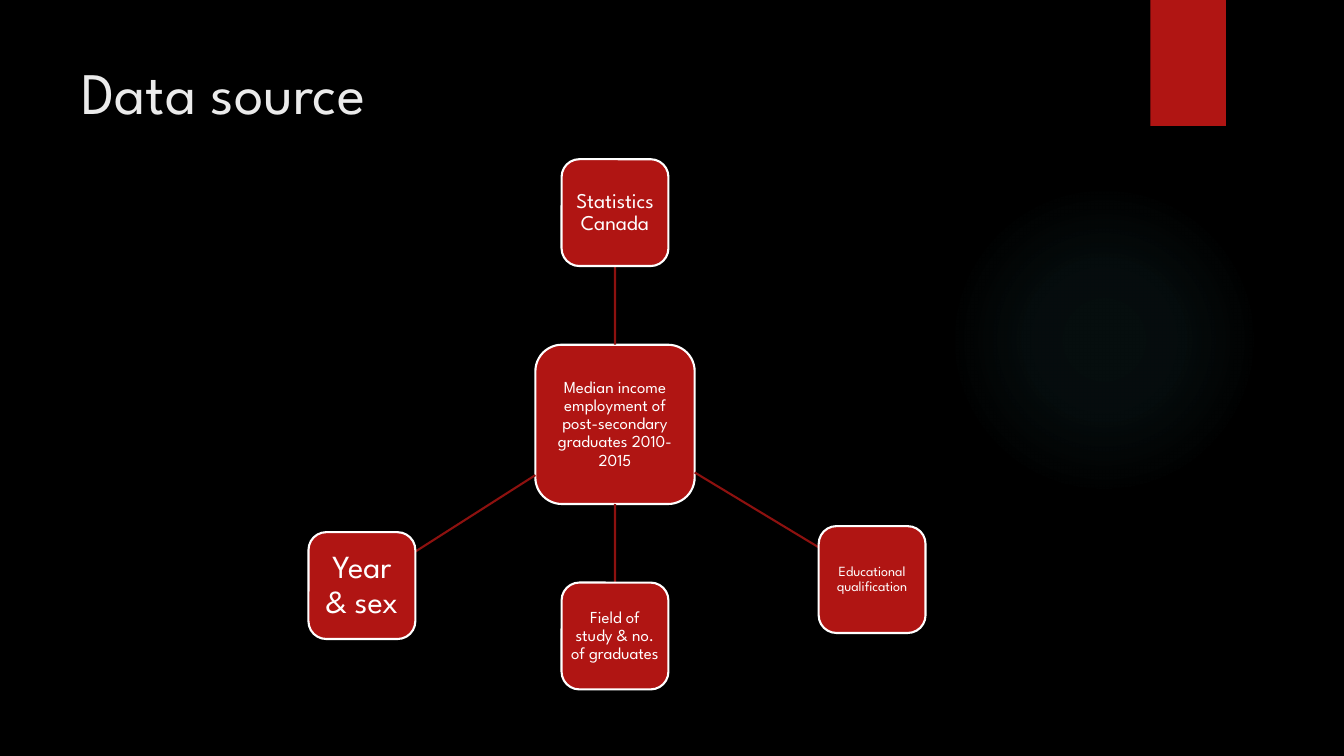
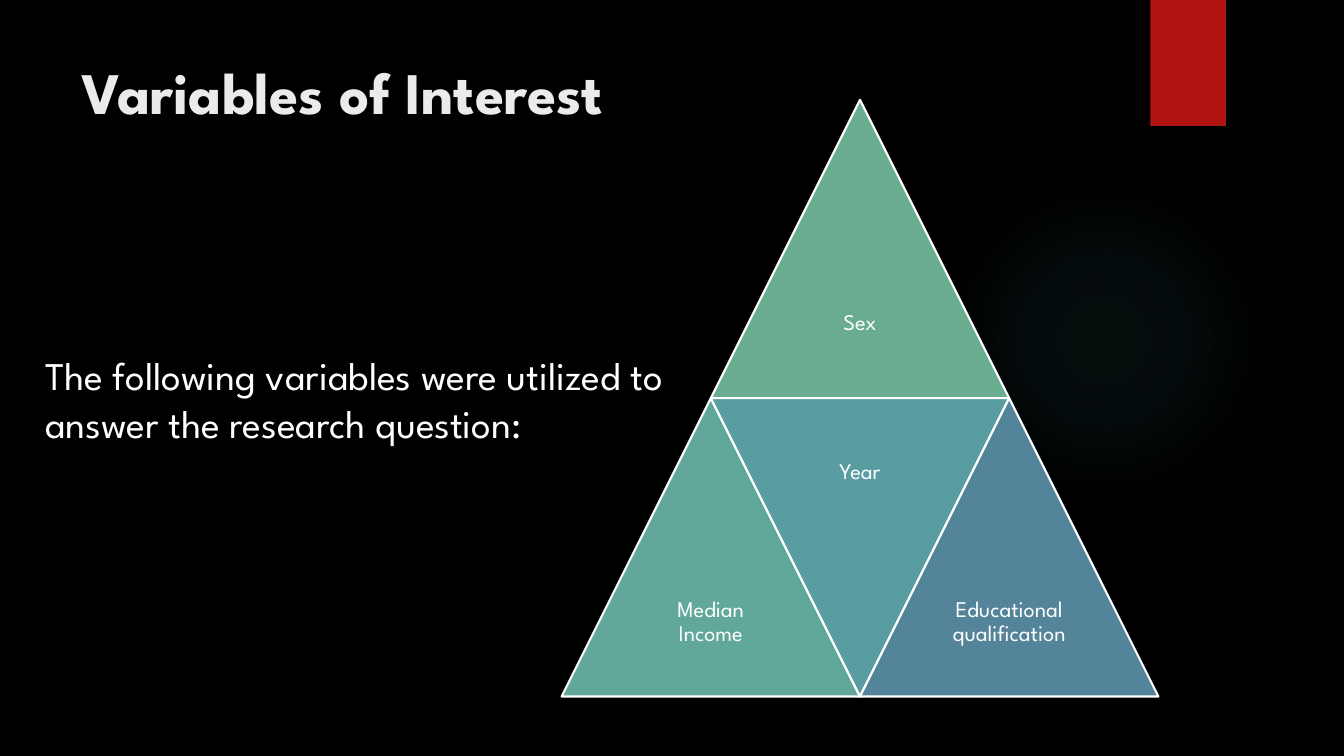
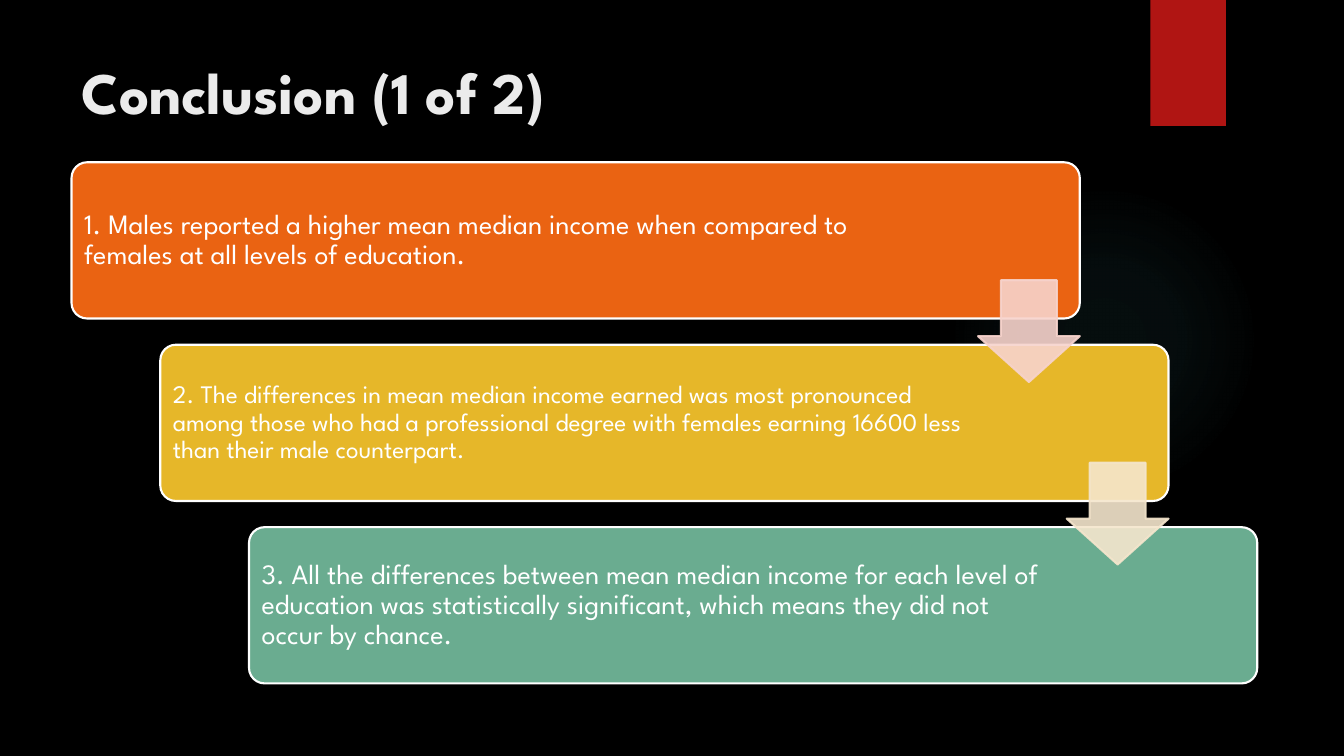
from lxml import etree
from pptx import Presentation
from pptx.dml.color import RGBColor
from pptx.enum import shapes, text
from pptx.oxml import parse_xml
from pptx.oxml.ns import nsdecls, qn
from pptx.util import Inches, Pt

FONT = "League Spartan"
BLACK, WHITE, TITLE = "000000", "FFFFFF", "EBEBEB"
RED, DARK_RED, GLOW = "B01513", "8D110F", "50B9C1"
MSO = shapes.MSO_SHAPE

# Slide 1: text, centre x, centre y, side, font size, inset
HUB = ("Median income employment of post-secondary graduates 2010-2015",
       6.1, 4.21, 1.58, 12, 0.03)
# each spoke also has its (hub, node) connection sites, where it meets side middles
SPOKES = [
    (("Statistics Canada", 6.1, 2.11, 1.06, 15, 0.04), (0, 2)),
    (("Educational qualification", 8.65, 5.75, 1.06, 10, 0.03), None),
    (("Field of study & no. of graduates", 6.1, 6.31, 1.06, 12, 0.03), (2, 0)),
    (("Year & sex", 3.59, 5.81, 1.06, 23, 0.06), None),
]

# Slide 2: text, column in half triangles, row, shape, colour
INTRO = "The following variables were utilized to answer the research question:"
TRIANGLES = [
    ("Sex", 1, 0, MSO.ISOSCELES_TRIANGLE, "6AAC90"),
    ("Median Income", 0, 1, MSO.ISOSCELES_TRIANGLE, "61A89B"),
    ("Year", 1, 1, MSO.FLOWCHART_MERGE, "599DA2"),
    ("Educational qualification", 2, 1, MSO.ISOSCELES_TRIANGLE, "54849A"),
]
TRI_LEFT, TRI_TOP, TRI_SIDE = 5.57, 0.99, 2.96

# Slide 3: text, font size, bar colour, colour of the arrow to the next bar
FINDINGS = [
    ("1. Males reported a higher mean median income when compared to females "
     "at all levels of education.", 20, "EA6312", "F7D3CC"),
    ("2. The differences in mean median income earned was most pronounced among "
     "those who had a professional degree with females earning 16600 less than "
     "their male counterpart.", 18, "E6B729", "F5E6CD"),
    ("3. All the differences between mean median income for each level of "
     "education was statistically significant, which means they did not occur "
     "by chance.", 20, "6AAC90", None),
]
BAR_LEFT, BAR_TOP, BAR_W, BAR_H = 0.71, 1.61, 10, 1.55
STEP_X, STEP_Y = 0.88, 1.81
ARROW, ARROW_DROP = 1.01, 1.17


def rgb(color):
    return RGBColor.from_string(color)


def set_alpha(fill, percent):
    """Make a solid fill, of a shape or of its line, partly transparent."""
    clr = fill._xPr.find(qn("a:solidFill"))[0]
    etree.SubElement(clr, qn("a:alpha"), val=str(percent * 1000))


def add_shape(s, kind, x, y, w, h, fill, line=None):
    sp = s.shapes.add_shape(kind, *map(Inches, (x, y, w, h)))
    sp.shadow.inherit = False
    sp.fill.solid()
    sp.fill.fore_color.rgb = rgb(fill)
    if line:
        sp.line.color.rgb = rgb(line)
        sp.line.width = Pt(1.5)
    else:
        sp.line.fill.background()
    return sp


def write(sp, words, size, color=WHITE, bold=False, align=text.PP_ALIGN.LEFT,
          anchor=text.MSO_ANCHOR.TOP, insets=(0.1, 0.05, 0.1, 0.05), spacing=1.0):
    tf = sp.text_frame
    tf.word_wrap = True
    tf.vertical_anchor = anchor
    tf.margin_left, tf.margin_top, tf.margin_right, tf.margin_bottom = map(Inches, insets)
    tf.text = words
    p = tf.paragraphs[0]
    p.alignment = align
    p.line_spacing = spacing
    font = p.runs[0].font
    font.name, font.size, font.bold = FONT, Pt(size), bold
    font.color.rgb = rgb(color)


def label(sp, words, size, insets, align=text.PP_ALIGN.CENTER):
    write(sp, words, size, align=align, anchor=text.MSO_ANCHOR.MIDDLE,
          insets=insets, spacing=0.9)


def add_text(s, x, y, w, h, words, size, **style):
    write(s.shapes.add_textbox(*map(Inches, (x, y, w, h))), words, size, **style)


def new_slide(prs, title, bold=True):
    """Add a slide with the shared glow, red tab and title."""
    s = prs.slides.add_slide(prs.slide_layouts[6])
    glow = add_shape(s, MSO.OVAL, 9.41, 1.83, 3.08, 3.08, GLOW)
    stops = "".join(
        f'<a:gs pos="{pos}000"><a:srgbClr val="{GLOW}"><a:alpha val="{alpha}000"/>'
        f'</a:srgbClr></a:gs>' for pos, alpha in ((0, 7), (36, 6), (69, 0), (100, 0)))
    gradient = parse_xml(
        f'<a:gradFill {nsdecls("a")} rotWithShape="1"><a:gsLst>{stops}</a:gsLst>'
        '<a:path path="circle"><a:fillToRect l="50000" t="50000" r="50000" b="50000"/>'
        '</a:path></a:gradFill>')
    pr = glow._element.spPr
    pr.replace(pr.find(qn("a:solidFill")), gradient)
    add_shape(s, MSO.RECTANGLE, 11.41, 0, 0.75, 1.25, RED)
    add_text(s, 0.71, 0.5, 10.29, 0.98, title, 42, color=TITLE, bold=bold)
    return s


def add_node(s, node):
    words, cx, cy, side, size, inset = node
    sp = add_shape(s, MSO.ROUNDED_RECTANGLE, cx - side / 2, cy - side / 2,
                   side, side, RED, WHITE)
    label(sp, words, size, (inset,) * 4)
    return sp


def edge_point(node, other):
    """Where the line between two node centres leaves the first node's square."""
    _, x, y, side, *_ = node
    dx, dy = other[1] - x, other[2] - y
    share = side / 2 / max(abs(dx), abs(dy))
    return Inches(x + dx * share), Inches(y + dy * share)


def data_source(prs):
    s = new_slide(prs, "Data source", bold=False)
    hub = add_node(s, HUB)
    for node, sites in SPOKES:
        line = s.shapes.add_connector(shapes.MSO_CONNECTOR.STRAIGHT,
                                      *edge_point(HUB, node), *edge_point(node, HUB))
        line.line.color.rgb = rgb(DARK_RED)
        line.line.width = Pt(1.5)
        etree.SubElement(line._element.spPr, qn("a:effectLst"))
        sp = add_node(s, node)
        if sites:
            line.begin_connect(hub, sites[0])
            line.end_connect(sp, sites[1])


def variables(prs):
    s = new_slide(prs, "Variables of Interest")
    add_text(s, 0.35, 3.44, 6.67, 1.51, INTRO, 28)
    for words, col, row, kind, color in TRIANGLES:
        sp = add_shape(s, kind, TRI_LEFT + col * TRI_SIDE / 2, TRI_TOP + row * TRI_SIDE,
                       TRI_SIDE, TRI_SIDE, color, WHITE)
        label(sp, words, 16, (0.07,) * 4)


def conclusion(prs):
    s = new_slide(prs, "Conclusion (1 of 2)")
    places = [(BAR_LEFT + i * STEP_X, BAR_TOP + i * STEP_Y) for i in range(len(FINDINGS))]
    for (x, y), (words, size, color, _) in zip(places, FINDINGS):
        bar = add_shape(s, MSO.ROUNDED_RECTANGLE, x, y, BAR_W, BAR_H, color, WHITE)
        bar.adjustments[0] = 0.1
        label(bar, words, size, (0.08, 0.08, 1.97, 0.08), text.PP_ALIGN.LEFT)
    for (x, y), (*_, color) in zip(places, FINDINGS):
        if color:
            arrow = add_shape(s, MSO.DOWN_ARROW, x + BAR_W - ARROW, y + ARROW_DROP,
                              ARROW, ARROW, color, color)
            arrow.adjustments[0], arrow.adjustments[1] = 0.55, 0.45
            set_alpha(arrow.fill, 90)
            set_alpha(arrow.line.fill, 90)


def main():
    prs = Presentation()
    prs.slide_width, prs.slide_height = Inches(13.33), Inches(7.5)
    backdrop = prs.slide_master.background.fill
    backdrop.solid()
    backdrop.fore_color.rgb = rgb(BLACK)
    data_source(prs)
    variables(prs)
    conclusion(prs)
    prs.save("out.pptx")


if __name__ == "__main__":
    main()
